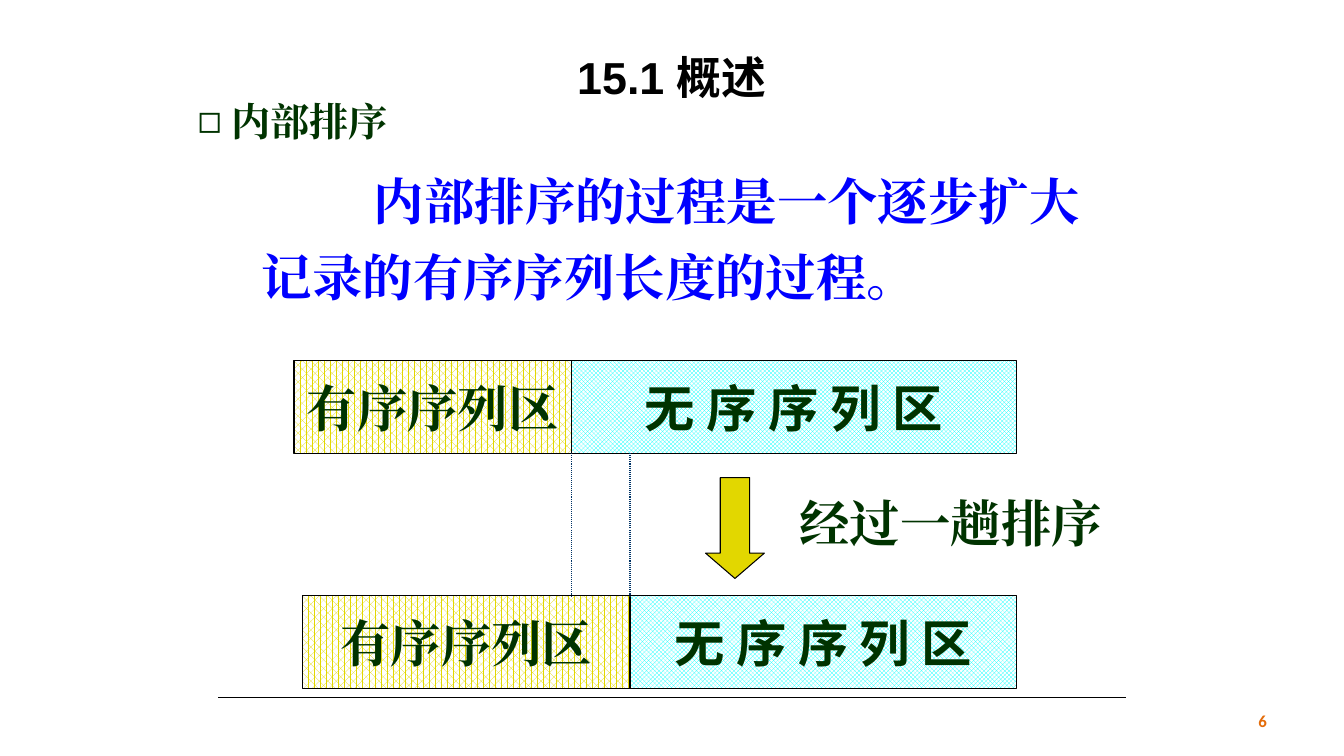
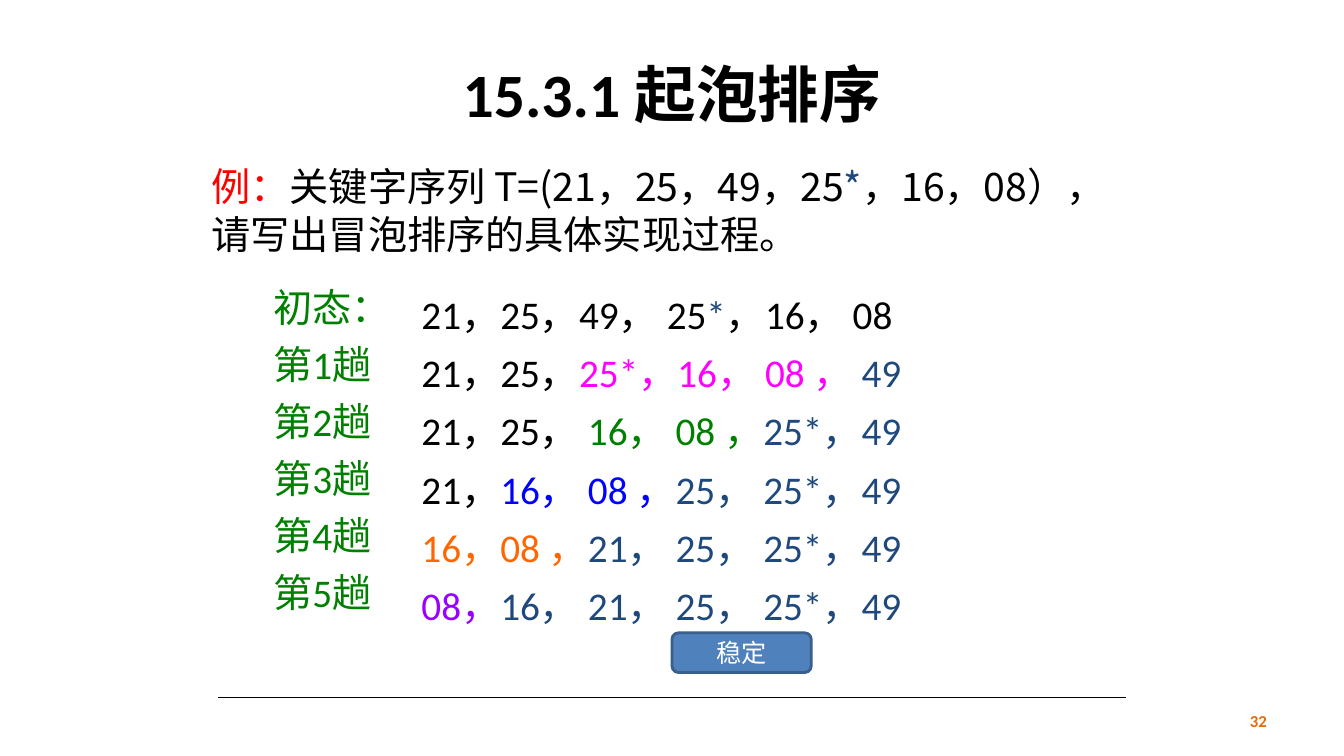
from lxml.etree import SubElement
from pptx import Presentation
from pptx.dml.color import RGBColor
from pptx.enum.dml import MSO_LINE_DASH_STYLE as Dash, MSO_PATTERN_TYPE as Pattern
from pptx.enum.shapes import MSO_CONNECTOR_TYPE as Connector, MSO_SHAPE as Shape
from pptx.enum.text import MSO_ANCHOR as Anchor, MSO_AUTO_SIZE as AutoSize, PP_ALIGN as Align
from pptx.oxml.ns import qn
from pptx.util import Pt

BLACK = RGBColor(0x00, 0x00, 0x00)
WHITE = RGBColor(0xFF, 0xFF, 0xFF)
FOREST = RGBColor(0x00, 0x33, 0x00)
GREEN = RGBColor(0x00, 0x80, 0x00)
BLUE = RGBColor(0x00, 0x00, 0xFF)
RED = RGBColor(0xFF, 0x00, 0x00)
NAVY = RGBColor(0x1F, 0x49, 0x7D)
GUIDE = RGBColor(0x00, 0x33, 0x66)
MAGENTA = RGBColor(0xFF, 0x00, 0xFF)
ORANGE = RGBColor(0xFF, 0x66, 0x00)
PURPLE = RGBColor(0x99, 0x00, 0xFF)
PAGE_ORANGE = RGBColor(0xE4, 0x6C, 0x0A)
YELLOW = RGBColor(0xE2, 0xD7, 0x00)
CYAN = RGBColor(0x00, 0xFF, 0xFF)
BADGE_FILL = RGBColor(0x4F, 0x81, 0xBD)
BADGE_LINE = RGBColor(0x3A, 0x5F, 0x8C)

SANS, SERIF, CJK, ARIAL = "Calibri", "Times New Roman", "Noto Sans CJK SC", "Arial"


def place(shape, box):
    """Move a shape to a left, top, width, height box in points."""
    shape.left, shape.top, shape.width, shape.height = map(Pt, box)
    return shape


def style_span(span, font, size, color, bold):
    """Format one run, with the same typeface for East Asian text."""
    span.font.name = font
    span.font.size = Pt(size)
    span.font.bold = bold
    span.font.color.rgb = color
    SubElement(span.font._element, qn("a:ea"), typeface=font)


def write(shape, lines, font, size, bold=False, align=Align.LEFT, anchor=Anchor.TOP,
          spacing=None, gap=0, wrap=True):
    """Fill a shape with paragraphs, each a list of (text, colour) spans."""
    frame = shape.text_frame
    frame.word_wrap = wrap
    frame.auto_size = AutoSize.NONE
    frame.vertical_anchor = anchor
    for index, spans in enumerate(lines):
        para = frame.add_paragraph() if index else frame.paragraphs[0]
        para.alignment = align
        para.line_spacing = spacing
        para.space_before = Pt(gap if index else 0)
        for text, color in spans:
            span = para.add_run()
            span.text = text
            style_span(span, font, size, color, bold)
    return frame.paragraphs


def set_indent(para, margin, first, bullet=None):
    """Set the left margin, first-line indent and bullet of a paragraph."""
    properties = para._p.get_or_add_pPr()
    properties.set("marL", str(Pt(margin)))
    properties.set("indent", str(Pt(first)))
    if bullet:
        SubElement(properties, qn("a:buChar"), char=bullet)
    else:
        SubElement(properties, qn("a:buNone"))


def add_text(page, box, lines, font, size, **options):
    """Add a text box and return its paragraphs."""
    return write(page.shapes.add_textbox(*map(Pt, box)), lines, font, size, **options)


def add_line(page, start, end, color, dash=None):
    """Draw a thin straight line without a shadow."""
    line = page.shapes.add_connector(Connector.STRAIGHT, *map(Pt, start + end))
    line.line.color.rgb = color
    line.line.width = Pt(0.75)
    if dash:
        line.line.dash_style = dash
    SubElement(line._element.spPr, qn("a:effectLst"))


def add_block(page, kind, box, fill, line=BLACK, width=0.75, pattern=None):
    """Add an outlined shape with a solid or patterned fill."""
    block = page.shapes.add_shape(kind, *map(Pt, box))
    block.shadow.inherit = False
    if pattern:
        block.fill.patterned()
        block.fill.pattern = pattern
        block.fill.back_color.rgb = WHITE
    else:
        block.fill.solid()
    block.fill.fore_color.rgb = fill
    block.line.color.rgb = line
    block.line.width = Pt(width)
    return block


def start_page(deck, title, box, font, size, number, spacing=None):
    """Start a slide with its title, page number and footer rule."""
    page = deck.slides.add_slide(deck.slide_layouts[1])
    write(place(page.shapes.title, box), [[(title, BLACK)]], font, size, bold=True,
          align=Align.CENTER, anchor=Anchor.MIDDLE, spacing=spacing)
    add_text(page, (688, 500.4, 224, 28.8), [[(number, PAGE_ORANGE)]], SANS, 12,
             bold=True, align=Align.RIGHT, anchor=Anchor.MIDDLE)
    add_line(page, (156, 498), (804, 498), BLACK)
    return page


def add_sequence(page, left, top, split, right):
    """Draw a bar made of a sorted zone and an unsorted zone."""
    zones = (("有序序列区", left, split, YELLOW, Pattern.PERCENT_60, SERIF),
             ("无 序 序 列 区", split, right, CYAN, Pattern.TRELLIS, CJK))
    for text, start, end, color, pattern, font in zones:
        zone = add_block(page, Shape.RECTANGLE, (start, top, end - start, 66), color,
                         pattern=pattern)
        write(zone, [[(text, FOREST)]], font, 36, bold=True, align=Align.CENTER,
              anchor=Anchor.MIDDLE, wrap=False)


def add_sorting_diagram(page, left, top):
    """Show the sorted zone growing in one pass."""
    split, grown, right = left + 198, left + 240, left + 516
    lower = top + 168
    add_sequence(page, left, top, split, right)
    add_sequence(page, left + 6, lower, grown, right)
    for x in (split, grown):
        add_line(page, (x, top + 66), (x, lower), GUIDE, Dash.ROUND_DOT)
    arrow = add_block(page, Shape.DOWN_ARROW, (left + 294, top + 83.5, 42, 72), YELLOW)
    arrow.adjustments[0], arrow.adjustments[1] = 0.5, 0.43
    add_text(page, (left + 354, top + 90, 276, 50), [[("经过一趟排序", FOREST)]],
             SERIF, 36, bold=True)


def build_overview(deck):
    """Build the overview of internal sorting."""
    page = start_page(deck, "15.1 概述", (156, 0, 648, 90), ARIAL, 32, "6", 1.5)
    topic = place(page.placeholders[1], (134, 66, 516, 41))
    heading = write(topic, [[("内部排序", FOREST)]], SERIF, 28, bold=True)[0]
    set_indent(heading, 24, -24, "◻")
    lines = ("内部排序的过程是一个逐步扩大", "记录的有序序列长度的过程。")
    paras = add_text(page, (180, 107, 618, 122), [[(text, BLUE)] for text in lines],
                     SERIF, 36, bold=True, spacing=Pt(54.3))
    set_indent(paras[0], 0, 80)
    add_sorting_diagram(page, 210, 257.7)


def add_passes(page, left, top):
    """List the state of the keys after each bubble sort pass."""
    labels = ["初态："] + [f"第{number}趟" for number in range(1, 6)]
    body = place(page.placeholders[1], (left, top + 3, 162, 253))
    for para in write(body, [[(label, GREEN)] for label in labels], SANS, 28, gap=7):
        set_indent(para, 0, 0)
    rows = [
        [("21，25，49， 25", BLACK), ("*", NAVY), ("，16， 08", BLACK)],
        [("21，25，", BLACK), ("25*，16， 08 ， ", MAGENTA), ("49", NAVY)],
        [("21，25， ", BLACK), ("16， 08 ，", GREEN), ("25*，49", NAVY)],
        [("21，", BLACK), ("16， 08 ，", BLUE), ("25， 25*，49", NAVY)],
        [("16，08 ，", ORANGE), ("21， 25， 25*，49", NAVY)],
        [("08，", PURPLE), ("16， 21， 25， 25*，49", NAVY)],
    ]
    add_text(page, (left + 106, top, 432, 254), rows, SANS, 28, spacing=1.23, gap=0.3)


def build_bubble_sort(deck):
    """Build the bubble sort example."""
    page = start_page(deck, "15.3.1 起泡排序", (48, 21.6, 864, 90), SANS, 44, "32")
    question = [("例：", RED), ("关键字序列 T=(21，25，49，25", BLACK), ("*", NAVY),
                ("，16，08），请写出冒泡排序的具体实现过程。", BLACK)]
    add_text(page, (144, 112, 642, 75), [question], CJK, 28, spacing=Pt(34))
    add_passes(page, 188, 196)
    badge = add_block(page, Shape.FLOWCHART_ALTERNATE_PROCESS, (480, 452, 99.5, 28.4),
                      BADGE_FILL, BADGE_LINE, 2)
    write(badge, [[("稳定", WHITE)]], SANS, 18, align=Align.CENTER, anchor=Anchor.MIDDLE)


def main():
    """Build and save the deck."""
    deck = Presentation()
    deck.slide_width, deck.slide_height = Pt(960), Pt(540)
    build_overview(deck)
    build_bubble_sort(deck)
    deck.save("out.pptx")


if __name__ == "__main__":
    main()
